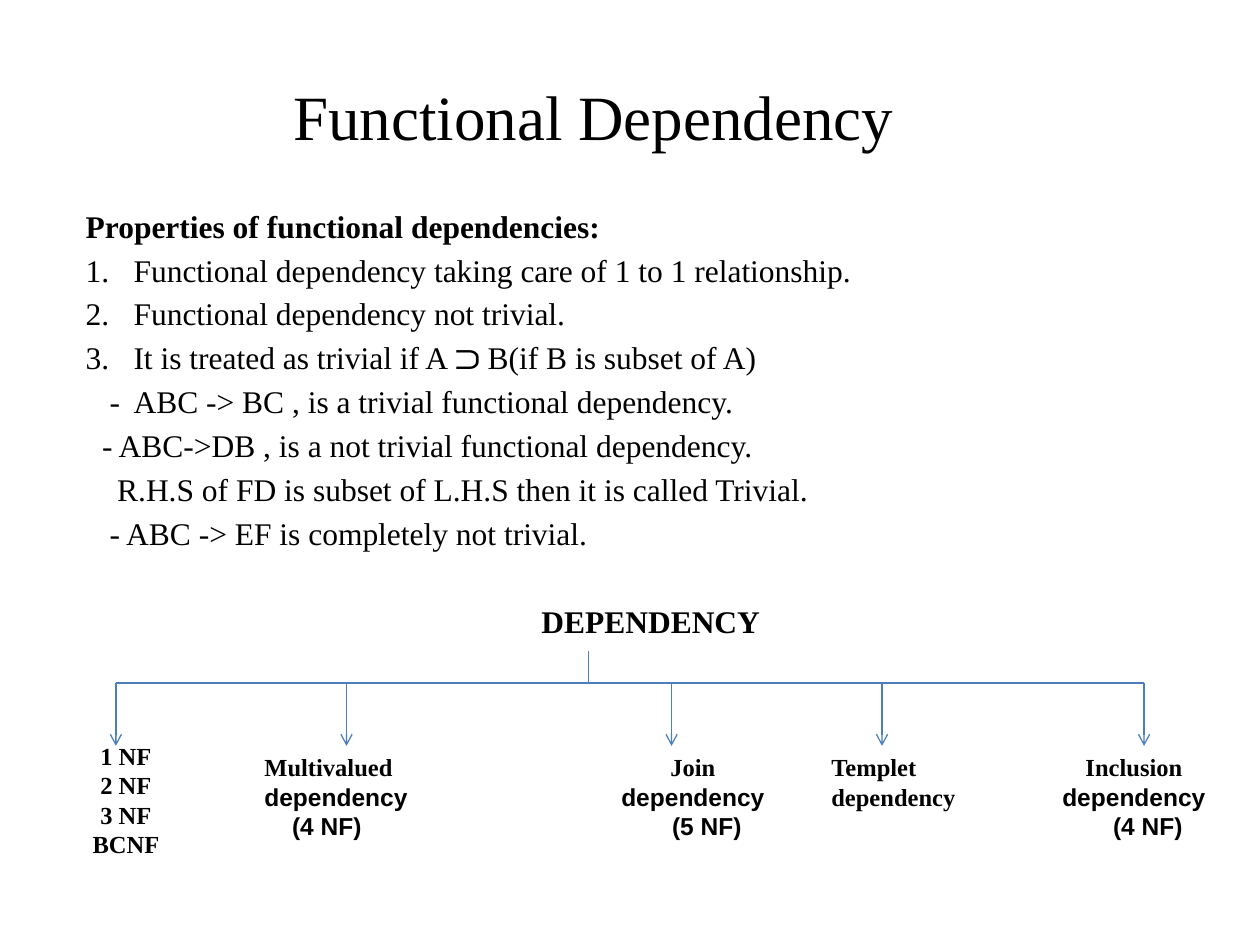
from lxml import etree
from pptx import Presentation
from pptx.dml.color import RGBColor
from pptx.enum.shapes import MSO_CONNECTOR
from pptx.enum.text import MSO_ANCHOR, MSO_AUTO_SIZE, PP_ALIGN
from pptx.oxml.ns import qn
from pptx.util import Inches, Pt

COLORS = {"text": "000000", "line": "4B7EBC"}
SERIF, SANS = "Times New Roman", "Arial"
LEFT, CENTER = PP_ALIGN.LEFT, PP_ALIGN.CENTER


def format_paragraph(paragraph, size, bold=False, align=LEFT, margin=0, indent=0):
    properties = paragraph._p.get_or_add_pPr()
    properties.set("marL", str(Inches(margin)))
    properties.set("indent", str(Inches(indent)))
    paragraph.alignment = align
    font = paragraph.font
    font.name, font.size, font.bold = SERIF, Pt(size), bold
    font.color.rgb = RGBColor.from_string(COLORS["text"])


def add_line(x1, y1, x2, y2, arrow=False):
    line = slide.shapes.add_connector(
        MSO_CONNECTOR.STRAIGHT, Inches(x1), Inches(y1), Inches(x2), Inches(y2))
    line.line.color.rgb = RGBColor.from_string(COLORS["line"])
    line.line.width = Pt(0.75)
    if arrow:
        etree.SubElement(line.line._get_or_add_ln(), qn("a:tailEnd"), type="arrow")
    etree.SubElement(line._element.spPr, qn("a:effectLst"))


presentation = Presentation()
presentation.slide_width, presentation.slide_height = Inches(10), Inches(7.5)
slide = presentation.slides.add_slide(presentation.slide_layouts[0])

# Title
title = slide.shapes.title
title.left, title.top = Inches(0.25), Inches(0.25)
title.width, title.height = Inches(8.92), Inches(1.33)
title.text_frame.text = "Functional Dependency"
title.text_frame.vertical_anchor = MSO_ANCHOR.MIDDLE
format_paragraph(title.text_frame.paragraphs[0], 36, align=CENTER)

# Properties: text, left margin, first-line indent, numbered
properties_list = [
    ("Properties of functional dependencies:", 0, 0, False),
    ("Functional dependency taking care of 1 to 1 relationship.", 0.38, -0.38, True),
    ("Functional dependency not trivial.", 0.38, -0.38, True),
    ("It is treated as trivial if A ﬤ B(if B is subset of A)", 0.38, -0.38, True),
    ("-\tABC -> BC , is a trivial functional dependency.", 0.38, -0.19, False),
    ("- ABC->DB , is a not trivial functional dependency.", 0.13, 0, False),
    ("R.H.S of FD is subset of L.H.S then it is called Trivial.", 0.25, 0, False),
    ("- ABC -> EF is completely not trivial.", 0.19, 0, False),
    ("DEPENDENCY", 0, 0, False),
]
body = slide.placeholders[1]
body.left, body.top = Inches(0.58), Inches(1.59)
body.width, body.height = Inches(9.17), Inches(5.57)
frame = body.text_frame
frame.auto_size = MSO_AUTO_SIZE.NONE
frame.vertical_anchor = MSO_ANCHOR.TOP
last = len(properties_list) - 1
for index, (text, margin, indent, numbered) in enumerate(properties_list):
    paragraph = frame.paragraphs[0] if index == 0 else frame.add_paragraph()
    paragraph.text = text
    if numbered:
        etree.SubElement(paragraph._p.get_or_add_pPr(), qn("a:buFont"), typeface="+mj-lt")
        etree.SubElement(paragraph._p.get_or_add_pPr(), qn("a:buAutoNum"), type="arabicPeriod")
    format_paragraph(paragraph, 18, index in (0, last),
                     CENTER if index == last else LEFT, margin, indent)
    paragraph.space_before = Pt(0 if index == 0 else 28.8 if index == last else 3.5)

# Tree: stem, crossbar and one arrow per branch
bar_y, tip_y = 5.42, 5.92
branch_x = [0.92, 2.75, 5.33, 7, 9.08]
add_line(4.67, 5.17, 4.67, bar_y)
add_line(branch_x[0], bar_y, branch_x[-1], bar_y)
for x in branch_x:
    add_line(x, bar_y, x, tip_y, arrow=True)

# Branch labels: left, top, width, height, alignment, paragraphs of (serif, sans) text
labels = [
    (0.5, 5.83, 1, 1.04, CENTER, [("1 NF", ""), ("2 NF", ""), ("3 NF", ""), ("BCNF", "")]),
    (2, 5.92, 1.5, 0.81, LEFT, [("Multivalued ", "dependency"), ("", "(4 NF)")]),
    (4.75, 5.92, 1.5, 0.81, CENTER, [("Join ", "dependency"), ("", "(5 NF)")]),
    (6.5, 5.92, 1.5, 0.57, LEFT, [("Templet dependency", "")]),
    (8.25, 5.92, 1.5, 0.81, CENTER, [("Inclusion ", "dependency"), ("", "(4 NF)")]),
]
for left, top, width, height, align, paragraphs in labels:
    label = slide.shapes.add_textbox(Inches(left), Inches(top), Inches(width), Inches(height))
    frame = label.text_frame
    frame.word_wrap = True
    for index, (serif_text, sans_text) in enumerate(paragraphs):
        paragraph = frame.paragraphs[0] if index == 0 else frame.add_paragraph()
        format_paragraph(paragraph, 14, True, align, 0 if serif_text else 0.22)
        for text, font_name in ((serif_text, SERIF), (sans_text, SANS)):
            if text:
                run = paragraph.add_run()
                run.text = text
                run.font.name = font_name

presentation.save("out.pptx")
